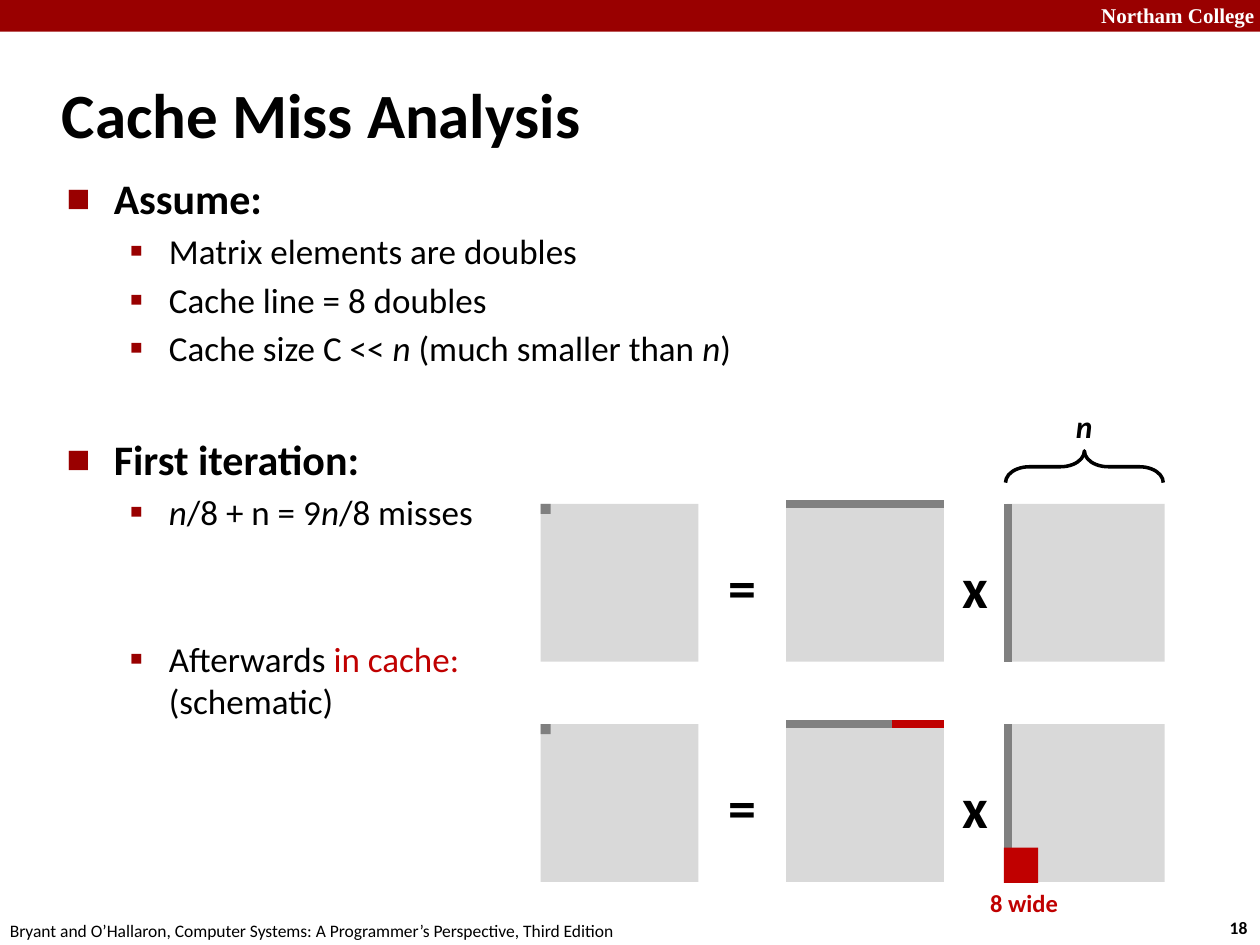
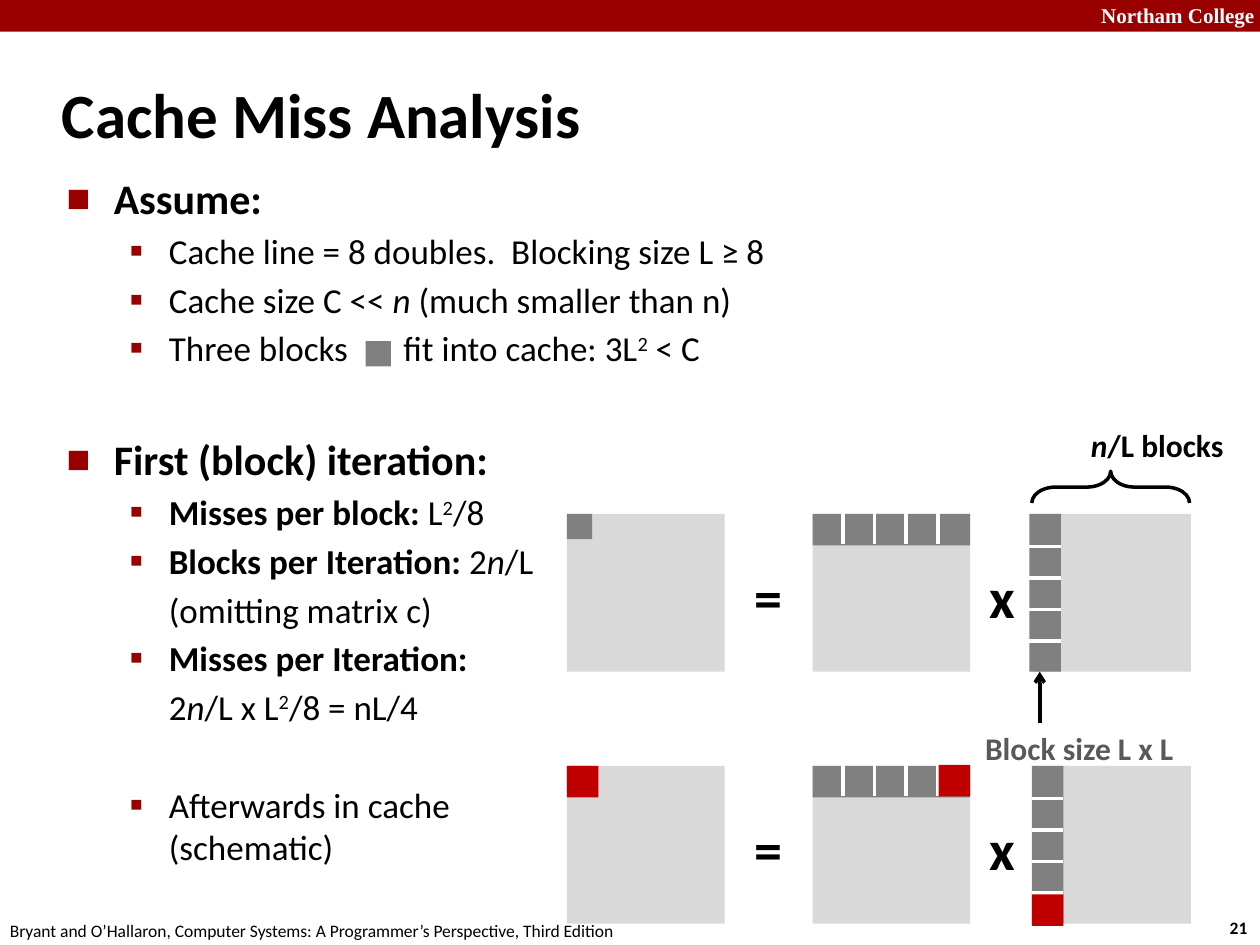
from lxml.etree import SubElement
from pptx import Presentation
from pptx.dml.color import RGBColor
from pptx.enum.shapes import MSO_CONNECTOR, MSO_SHAPE
from pptx.enum.text import MSO_ANCHOR, MSO_AUTO_SIZE, PP_ALIGN
from pptx.oxml.ns import qn
from pptx.util import Cm, Pt

BAND, RED, PALE, GREY = "990000", "C00000", "D9D9D9", "808080"
BLACK, WHITE, DARK = "000000", "FFFFFF", "595959"
TILE = 3.18
STEP = TILE / 5
COLS = (0, 4.95, 9.4)
GAP = 3.8
SIGNS = (("=", 3.53), ("x", 8.26))
SOURCE = ("Bryant and O’Hallaron, Computer Systems: "
          "A Programmer’s Perspective, Third Edition")

# Per level: size, left margin, hanging indent, bullet, bullet size
LEVELS = (
    (24, 0.95, -0.95, "■", "60000"),
    (20, 2.06, -0.79, "▪", "110000"),
    (20, 2.06, 0, None, None),
)

# Run flags: b bold, i italic, s superscript, r red, w wide
# List rows: level, space before, runs
DECK = (
    dict(num="18", left=10.9, tops=(10.16, 14.6), rows=(
        (0, GAP, [("Assume:", "b")]),
        (1, GAP, [("Matrix elements are doubles", "")]),
        (1, GAP, [("Cache line = 8 doubles", "")]),
        (1, GAP, [("Cache size C << ", ""), ("n ", "i"),
                  ("(much smaller than ", ""), ("n", "i"), (")", "")]),
        (0, 37, [("First iteration:", "b")]),
        (1, GAP, [("n", "i"), ("/8 + n = 9", ""), ("n", "i"),
                  ("/8 misses", "")]),
        (1, 60, [("Afterwards ", ""), ("in cache:", "r"), ("\n", ""),
                 ("(schematic)", "")]),
    )),
    dict(num="21", left=11.43, tops=(10.36, 15.44), rows=(
        (0, GAP, [("Assume:", "b")]),
        (1, GAP, [("Cache line = 8 doubles.  Blocking size L ≥ 8", "")]),
        (1, GAP, [("Cache size C << ", ""), ("n", "i"),
                  (" (much smaller than n)", "")]),
        (1, GAP, [("Three blocks", ""), (" ", "w"),
                  ("fit into cache: 3L", ""), ("2", "s"), (" < C", "")]),
        (0, 37, [("First (block) iteration:", "b")]),
        (1, GAP, [("Misses per block: ", "b"), ("L", ""), ("2", "s"),
                  ("/8", "")]),
        (1, GAP, [("Blocks per Iteration: ", "b"), ("2", ""), ("n", "i"),
                  ("/L", "")]),
        (2, GAP, [("(omitting matrix c)", "")]),
        (1, GAP, [("Misses per Iteration:", "b")]),
        (2, GAP, [("2", ""), ("n", "i"), ("/L x L", ""), ("2", "s"),
                  ("/8 = nL/4", "")]),
        (1, 32, [("Afterwards in cache", ""), ("\n", ""),
                 ("(schematic)", "")]),
    )),
)


def paint(part, hue):
    """Give a shape, line or font a solid colour."""
    part.fill.solid()
    part.fill.fore_color.rgb = RGBColor.from_string(hue)


def write(par, runs, size, hue=BLACK, face="Calibri"):
    """Add (text, flags) runs to a paragraph."""
    for text, flags in runs:
        if text == "\n":
            par.add_line_break()
            continue
        run = par.add_run()
        run.text = text
        form = dict(name=face, size=Pt(size), bold="b" in flags,
                    italic="i" in flags)
        for key, value in form.items():
            setattr(run.font, key, value)
        paint(run.font, RED if "r" in flags else hue)
        if "s" in flags:
            run._r.get_or_add_rPr().set("baseline", "30000")
        if "w" in flags:
            run._r.get_or_add_rPr().set("spc", "2710")


prs = Presentation()
prs.slide_width, prs.slide_height = Cm(25.4), Cm(19.05)
pages = []
parts = []  # page, x, y, then width and height or end point, hue, line width
notes = []  # page, x, y, width, height, runs, size, hue, face

# Titles, lists and the parts that both slides share
for page, data in enumerate(DECK):
    slide = prs.slides.add_slide(prs.slide_layouts[1])
    pages.append(slide)
    title, body = slide.placeholders
    spots = ((title, (0.99, 1.22, 21.08, 2.11), MSO_ANCHOR.MIDDLE),
             (body, (1.09, 3.35, 21.95, 8.48), MSO_ANCHOR.TOP))
    for shape, spot, anchor in spots:
        shape.left, shape.top, shape.width, shape.height = map(Cm, spot)
        form = dict(auto_size=MSO_AUTO_SIZE.NONE, word_wrap=True,
                    vertical_anchor=anchor)
        for key, value in form.items():
            setattr(shape.text_frame, key, value)
    head = title.text_frame.paragraphs[0]
    head.alignment = PP_ALIGN.LEFT
    write(head, [("Cache Miss Analysis", "b")], 36)

    for row, (kind, gap, runs) in enumerate(data["rows"]):
        frame = body.text_frame
        par = frame.add_paragraph() if row else frame.paragraphs[0]
        par.level = min(kind, 1)
        par.space_before = Pt(gap)
        size, margin, hang, sign, scale = LEVELS[kind]
        props = par._p.get_or_add_pPr()
        props.set("marL", str(Cm(margin)))
        props.set("indent", str(Cm(hang)))
        if sign:
            tint = SubElement(props, qn("a:buClr"))
            SubElement(tint, qn("a:srgbClr"), val=BAND)
            SubElement(props, qn("a:buSzPct"), val=scale)
            SubElement(props, qn("a:buFont"), typeface="Calibri")
            SubElement(props, qn("a:buChar"), char=sign)
        else:
            SubElement(props, qn("a:buNone"))
        write(par, runs, size)

    parts.append((page, 0, 0, 25.4, 0.64, BAND, 0))
    notes += [
        (page, 21.95, -0.08, 3.63, 0.76, [("Northam College", "b")], 12,
         WHITE, "Times New Roman"),
        (page, 24.54, 18.36, 0.94, 0.69, [(data["num"], "b")], 10, BLACK,
         "Calibri"),
        (page, -0.05, 18.42, 12.9, 0.69, [(SOURCE, "")], 10, BLACK,
         "Calibri"),
    ]
    for top in data["tops"]:
        for col in COLS:
            parts.append((page, data["left"] + col, top, TILE, TILE, PALE, 0))
        for sign, shift in SIGNS:
            notes.append((page, data["left"] + shift, top + 0.85, 1.07, 1.63,
                          [(sign, "b")], 32, BLACK, "Calibri"))

# Slide 1: first element, row and column of each product
left, tops = DECK[0]["left"], DECK[0]["tops"]
mid, last = left + COLS[1], left + COLS[2] + 0.02
for top in tops:
    parts += [
        (0, left, top, 0.2, 0.2, GREY, 0),
        (0, mid, top, mid + TILE, top, GREY, 4.5),
        (0, last, top, last, top + TILE, GREY, 4.5),
    ]
parts += [
    (0, 17.98, tops[1], mid + TILE, tops[1], RED, 4.5),
    (0, 20.24, 17.09, 0.69, 0.71, RED, 0),
]

# Slide 2: rows and columns cut into five blocks
left, tops = DECK[1]["left"], DECK[1]["tops"]
mid = left + COLS[1]
for top, last in zip(tops, (20.75, 20.8)):
    parts += [
        (1, left, top, 0.51, 0.51, GREY, 0),
        (1, mid, top, TILE, STEP, GREY, 0),
        (1, last, top, STEP, TILE, GREY, 0),
    ]
    for k in range(1, 5):
        x, y = mid + k * STEP - 0.02, top + k * STEP + 0.02
        parts += [
            (1, x, top - 0.02, x, top + STEP - 0.02, WHITE, 2),
            (1, last, y, last + STEP, y, WHITE, 2),
        ]
parts.append((1, 7.37, 6.88, 0.51, 0.51, GREY, 0))
for x, y in ((left, tops[1]), (18.92, 15.42), (20.8, 18.03)):
    parts.append((1, x, y, STEP, STEP, RED, 0))
parts.append((1, 20.96, 14.58, 20.96, 13.54, BLACK, 2))

notes += [
    (0, 21.44, 8.08, 0.86, 1.02, [("n", "bi")], 18, BLACK, "Calibri"),
    (0, 19.71, 17.78, 1.88, 0.86, [("8 wide", "b")], 14, RED, "Calibri"),
    (1, 21.74, 8.46, 3.2, 1.02, [("n", "bi"), ("/L blocks", "b")], 18,
     BLACK, "Calibri"),
    (1, 19.61, 14.58, 4.34, 1.02, [("Block size L x L", "b")], 18, DARK,
     "Calibri"),
]

for page, x, y, wide, high, hue, width in parts:
    shapes = pages[page].shapes
    spot = [Cm(v) for v in (x, y, wide, high)]
    if not width:
        box = shapes.add_shape(MSO_SHAPE.RECTANGLE, *spot)
        box.shadow.inherit = False
        paint(box, hue)
        box.line.fill.background()
        continue
    rule = shapes.add_connector(MSO_CONNECTOR.STRAIGHT, *spot)
    rule.line.width = Pt(width)
    paint(rule.line, hue)
    props = rule._element.spPr
    if hue == BLACK:
        SubElement(props.find(qn("a:ln")), qn("a:tailEnd"), type="arrow")
    SubElement(props, qn("a:effectLst"))

for page, x, y in ((0, 21.54, 7.82), (1, 22.07, 8.23)):
    brace = pages[page].shapes.add_shape(
        MSO_SHAPE.LEFT_BRACE, Cm(x), Cm(y), Cm(0.64), Cm(TILE))
    brace.rotation = 90
    brace.adjustments[0] = 0.75
    brace.shadow.inherit = False
    brace.fill.background()
    brace.line.width = Pt(2)
    paint(brace.line, BLACK)

for page, x, y, wide, high, runs, size, hue, face in notes:
    note = pages[page].shapes.add_textbox(Cm(x), Cm(y), Cm(wide), Cm(high))
    note.text_frame.word_wrap = False
    write(note.text_frame.paragraphs[0], runs, size, hue, face)

prs.save("out.pptx")
